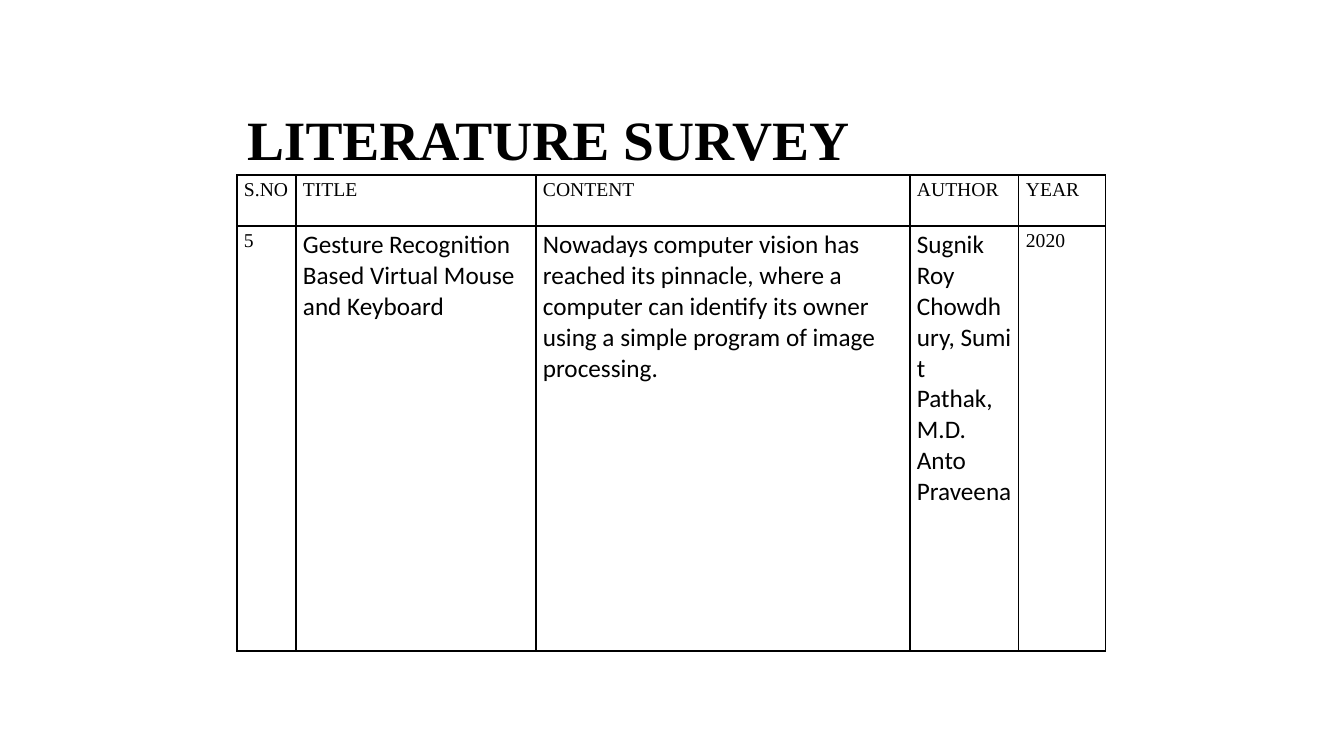
from dataclasses import dataclass
from lxml.etree import SubElement
from pptx import Presentation
from pptx.dml.color import RGBColor as Rgb
from pptx.enum.text import MSO_ANCHOR as Anchor, MSO_AUTO_SIZE as Fit, PP_ALIGN as Align
from pptx.oxml.ns import qn
from pptx.util import Pt

UNIT = 914400 / 100.8


def px(n):
    return round(n * UNIT)


@dataclass(frozen=True)
class Theme:
    ink: str = "000000"
    serif: str = "Times New Roman"
    sans: str = "Calibri"
    head: float = 39.6
    label: int = 14
    body: int = 18
    rule: int = 1


def apply(item, form):
    for key, val in form.items():
        setattr(item, key, val)


class Deck:
    def __init__(self, theme):
        self.theme = theme
        self.file = Presentation()
        apply(self.file, dict(slide_width=px(1344), slide_height=px(756)))
        self.slide = self.file.slides.add_slide(self.file.slide_layouts[5])

    def label(self, frame, text, face, size, bold=False, gap=1.0):
        para = frame.paragraphs[0]
        apply(para, dict(alignment=Align.LEFT, line_spacing=gap))
        run = para.add_run()
        run.text = text
        apply(run.font, dict(name=face, size=Pt(size), bold=bold))
        run.font.color.rgb = Rgb.from_string(self.theme.ink)

    def title(self, text, x, y, w, h):
        box = self.slide.shapes.title
        apply(box, dict(left=px(x), top=px(y), width=px(w), height=px(h)))
        frame = box.text_frame
        apply(frame, dict(word_wrap=True, auto_size=Fit.NONE,
                          vertical_anchor=Anchor.MIDDLE))
        self.label(frame, text, self.theme.serif, self.theme.head, True, 0.9)

    def border(self, cell):
        props = cell._tc.get_or_add_tcPr()
        for spot, side in enumerate(("lnL", "lnR", "lnT", "lnB")):
            line = SubElement(props, qn("a:" + side), w=str(Pt(self.theme.rule)))
            fill = SubElement(line, qn("a:solidFill"))
            SubElement(fill, qn("a:srgbClr"), val=self.theme.ink)
            props.insert(spot, line)

    def table(self, data, x, y, cols, rows, prose):
        grid = self.slide.shapes.add_table(
            len(rows), len(cols), px(x), px(y), px(sum(cols)), px(sum(rows))).table
        apply(grid, dict(first_row=False, horz_banding=False))
        for col, wide in zip(grid.columns, cols):
            col.width = px(wide)
        for row, high in zip(grid.rows, rows):
            row.height = px(high)
        look = self.theme
        for r, line in enumerate(data):
            for c, text in enumerate(line):
                cell = grid.cell(r, c)
                apply(cell, dict(margin_left=px(7), margin_right=px(7),
                                 margin_top=px(4), margin_bottom=px(4),
                                 vertical_anchor=Anchor.TOP))
                cell.fill.background()
                self.border(cell)
                face, size = ((look.sans, look.body) if r and c in prose
                              else (look.serif, look.label))
                self.label(cell.text_frame, text, face, size)


survey = [
    ("S.NO", "TITLE", "CONTENT", "AUTHOR", "YEAR"),
    ("5",
     "Gesture Recognition Based Virtual Mouse and Keyboard",
     "Nowadays computer vision has reached its pinnacle, where a computer "
     "can identify its owner using a simple program of image processing. ",
     "Sugnik Roy Chowdhury,\u00a0Sumit Pathak,\u00a0M.D. Anto Praveena",
     "2020"),
]

deck = Deck(Theme())
deck.title("LITERATURE SURVEY", 237, 111, 869, 64)
deck.table(survey, 237, 175, (59, 240, 374, 109, 87), (51, 425), prose={1, 2, 3})
deck.file.save("out.pptx")
